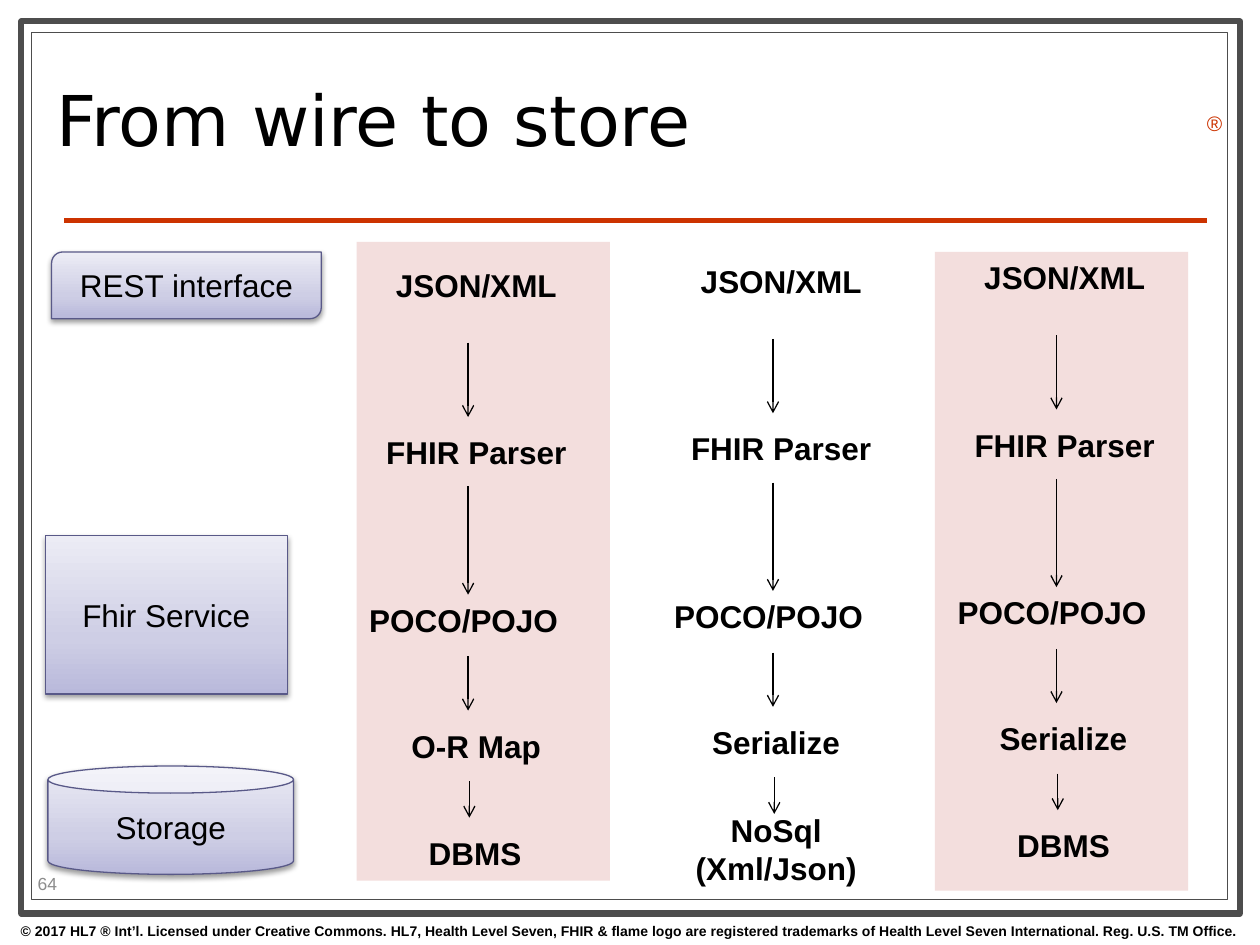
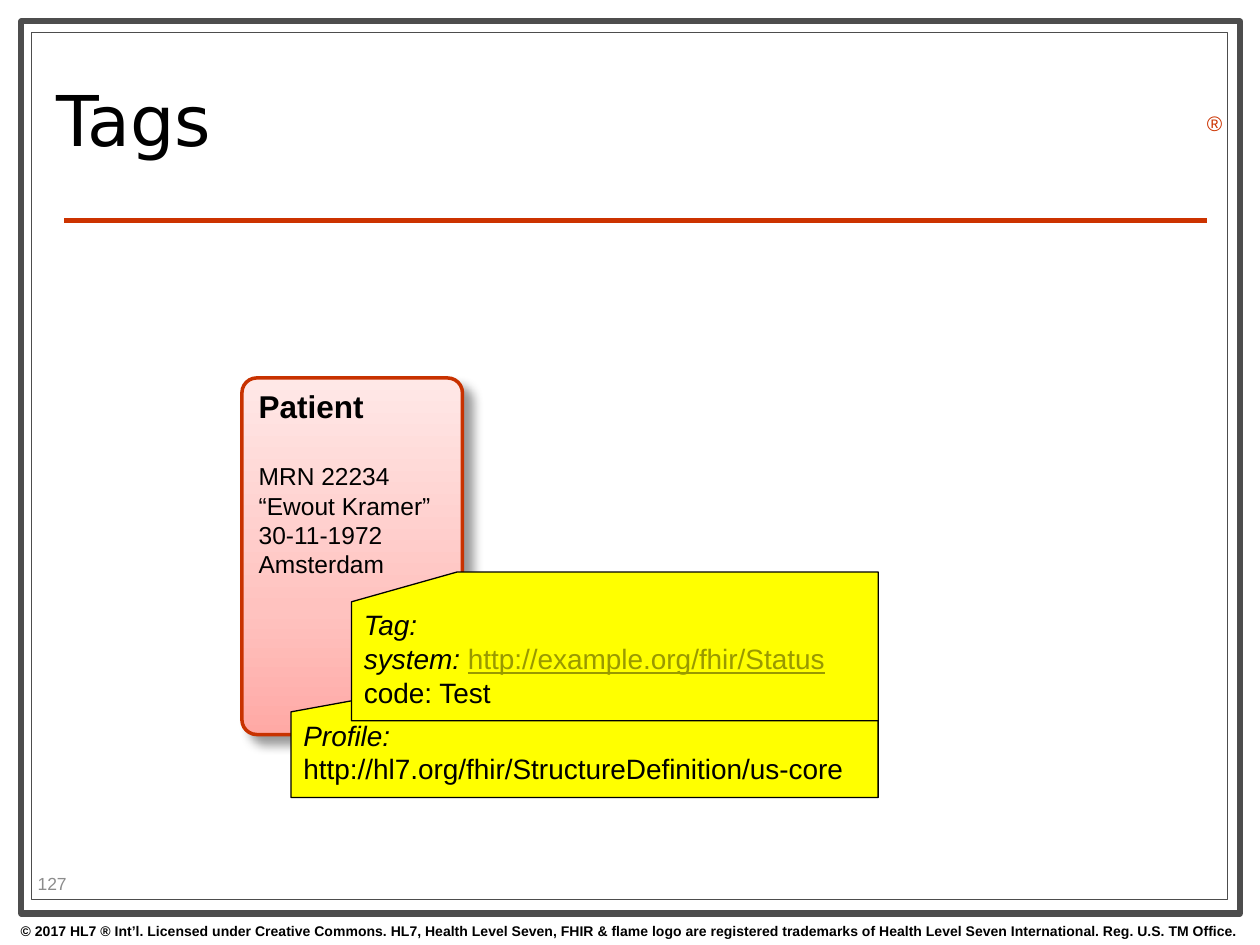
import copy
from dataclasses import dataclass

import pptx
import pptx.dml.color
import pptx.enum.shapes
import pptx.enum.text
import pptx.oxml.ns
import pptx.util
from lxml import etree

Shape = pptx.enum.shapes.MSO_SHAPE
Align = pptx.enum.text.PP_ALIGN
Anchor = pptx.enum.text.MSO_ANCHOR
Pt = pptx.util.Pt
qn = pptx.oxml.ns.qn


@dataclass(frozen=True)
class Theme:
    body_font: str = "Arial"
    title_font: str = "DejaVu Sans"
    ink: str = "000000"
    paper: str = "FFFFFF"
    frame: str = "4D4D4D"
    accent: str = "CC3300"
    muted: str = "8C8C8C"
    band: str = "F3DEDD"
    note: str = "FFFF00"
    link: str = "999900"
    layer_line: str = "595988"
    record_line: str = "C83200"
    layer_fill: tuple = ((0, "B9B9DB"), (0.35, "CECEE5"), (1, "ECECF5"))
    record_fill: tuple = ((0, "FFA9A5"), (0.35, "FFC2BF"), (1, "FFE8E7"))
    # Shadows: opacity %, blur pt, distance pt, angle
    layer_shadow: tuple = (38, 3.1, 1.6, 90)
    record_shadow: tuple = (40, 6, 7, 45)
    title_size: int = 40
    label_size: int = 18
    note_size: int = 16
    detail_size: int = 14
    mark_size: int = 12
    number_size: int = 10
    legal_size: int = 8


THEME = Theme()
COLUMNS, ROWS = 100, 75
LEGAL = ("© 2017 HL7 ® Int’l. Licensed under Creative Commons. HL7, Health Level Seven, "
         "FHIR & flame logo are registered trademarks of Health Level Seven International. "
         "Reg. U.S. TM Office.")


def rgb(colour):
    return pptx.dml.color.RGBColor.from_string(colour)


class Deck:
    """Holds the theme and the current slide; places are (column, row, width, height)."""

    def __init__(self, theme):
        self.theme = theme
        self.presentation = pptx.Presentation()
        self.presentation.slide_width = pptx.util.Inches(10)
        self.presentation.slide_height = pptx.util.Inches(7.5)
        self.shapes = None

    def grid(self, *lengths):
        units = (self.presentation.slide_width / COLUMNS, self.presentation.slide_height / ROWS)
        return [round(length * units[i % 2]) for i, length in enumerate(lengths)]

    def new_slide(self, title, number):
        theme = self.theme
        layout = self.presentation.slide_layouts[5]
        self.shapes = self.presentation.slides.add_slide(layout).shapes
        # Frame, rule and legal line
        self.box(Shape.RECTANGLE, (1.7, 1.7, 96.7, 70.8), theme.paper, theme.frame, 3.5)
        self.box(Shape.RECTANGLE, (2.5, 2.6, 94.9, 68.8), theme.paper, theme.frame, 0.75)
        self.line((5.1, 17.5), (95.8, 17.5), theme.accent, 3)
        self.text((0, 72.7, 100, 2.3), LEGAL, theme.legal_size, bold=True, align=Align.CENTER)
        self.text((94.8, 8.3, 3.1, 3), "®", theme.mark_size, colour=theme.accent)
        self.text((2, 68.9, 7.9, 2.4), number, theme.number_size,
                  colour=theme.muted, anchor=Anchor.MIDDLE)
        # Title, brought in front of the frame
        heading = self.shapes.title
        heading.left, heading.top, heading.width, heading.height = self.grid(3.5, 3.6, 71.7, 12.9)
        self.fill_text(heading, title, theme.title_size, font=theme.title_font,
                       anchor=Anchor.MIDDLE)
        heading.text_frame.auto_size = pptx.enum.text.MSO_AUTO_SIZE.NONE
        heading.text_frame.paragraphs[0].line_spacing = 0.8
        self.shapes._spTree.append(heading._element)

    def fill_text(self, shape, text, size, bold=False, colour=None, font=None,
                  align=Align.LEFT, anchor=Anchor.TOP):
        frame = shape.text_frame
        frame.text = text
        frame.word_wrap = True
        frame.vertical_anchor = anchor
        for paragraph in frame.paragraphs:
            paragraph.alignment = align
            for run in paragraph.runs:
                run.font.name = font or self.theme.body_font
                run.font.size = Pt(size)
                run.font.bold = bold
                run.font.color.rgb = rgb(colour or self.theme.ink)
        return frame

    def text(self, place, text, size, **style):
        return self.fill_text(self.shapes.add_textbox(*self.grid(*place)), text, size, **style)

    def box(self, kind, place, fill, line=None, weight=0.75, shadow=None):
        shape = self.shapes.add_shape(kind, *self.grid(*place))
        shape.shadow.inherit = False
        if isinstance(fill, str):
            shape.fill.solid()
            shape.fill.fore_color.rgb = rgb(fill)
        else:
            self.shade(shape, fill)
        if line:
            shape.line.color.rgb = rgb(line)
            shape.line.width = Pt(weight)
        else:
            shape.line.fill.background()
        if shadow:
            self.cast(shape, *shadow)
        return shape

    def shade(self, shape, stops):
        shape.fill.gradient()
        shape.fill.gradient_angle = 90
        stop_list = shape._element.spPr.find(".//" + qn("a:gsLst"))
        stop_list.append(copy.deepcopy(stop_list[0]))
        for stop, (position, colour) in zip(shape.fill.gradient_stops, stops):
            stop.position = position
            stop.color.rgb = rgb(colour)

    def cast(self, shape, opacity, blur, distance, angle):
        effects = shape._element.spPr.find(qn("a:effectLst"))
        outer = etree.SubElement(effects, qn("a:outerShdw"), blurRad=str(Pt(blur)),
                                 dist=str(Pt(distance)), dir=str(angle * 60000), rotWithShape="0")
        colour = etree.SubElement(outer, qn("a:srgbClr"), val=self.theme.ink)
        etree.SubElement(colour, qn("a:alpha"), val=str(opacity * 1000))

    def line(self, start, end, colour, weight=0.75, arrow=False):
        connector = self.shapes.add_connector(pptx.enum.shapes.MSO_CONNECTOR.STRAIGHT,
                                              *self.grid(*start, *end))
        connector.line.color.rgb = rgb(colour)
        connector.line.width = Pt(weight)
        if arrow:
            outline = connector._element.spPr.find(qn("a:ln"))
            etree.SubElement(outline, qn("a:tailEnd"), type="arrow")
        etree.SubElement(connector._element.spPr, qn("a:effectLst"))

    def layer(self, kind, place, label):
        theme = self.theme
        shape = self.box(kind, place, theme.layer_fill, theme.layer_line,
                         shadow=theme.layer_shadow)
        self.fill_text(shape, label, theme.label_size, align=Align.CENTER, anchor=Anchor.MIDDLE)

    def flow(self, left, top, steps):
        """Draw steps of (label, centre, width) downwards, with arrows between them."""
        for (label, centre, width), row in zip(steps, STEP_ROWS):
            extra = 3.1 * label.count("\n")
            place = (left + centre - width / 2, top + row - extra / 2, width, 4 + extra)
            self.text(place, label, self.theme.label_size, bold=True, align=Align.CENTER)
        for x, start, end in STEP_ARROWS:
            self.line((left + x, top + start), (left + x, top + end), self.theme.ink, arrow=True)

    def note(self, place, text):
        shape = self.box(Shape.FLOWCHART_CARD, place, self.theme.note, self.theme.ink)
        frame = self.fill_text(shape, text, self.theme.note_size)
        frame.paragraphs[0].runs[0].font.italic = True
        return frame


# Flow rhythm, measured from the top left of each flow
STEP_ROWS = (0, 13.3, 26.6, 36.6, 45.1)
STEP_ARROWS = ((8.85, 6.6, 12.5), (8.85, 18, 26.6), (8.85, 31.5, 35.8), (8.95, 41.4, 44.3))
PARSING = [("JSON/XML", 9.5, 14.9), ("FHIR Parser", 9.5, 16.5), ("POCO/POJO", 8.5, 18.3)]
FLOWS = [
    (28.3, 20.6, [("O-R Map", 9.5, 12.4), ("DBMS", 9.4, 9.5)]),
    (52.5, 20.3, [("Serialize", 9.1, 12.3), ("NoSql\n(Xml/Json)", 9.1, 14.9)]),
    (75, 20, [("Serialize", 9.4, 12.3), ("DBMS", 9.4, 9.5)]),
]


def wire_to_store(deck):
    deck.new_slide("From wire to store", "64")
    # Bands behind the outer flows
    for left, top in ((28.3, 19.2), (74.2, 20)):
        deck.box(Shape.RECTANGLE, (left, top, 20.1, 50.7), deck.theme.band)
    # System layers
    deck.layer(Shape.CAN, (3.8, 60.8, 19.5, 8.6), "Storage")
    deck.layer(Shape.RECTANGLE, (3.6, 42.5, 19.2, 12.6), "Fhir Service")
    deck.layer(Shape.ROUND_2_DIAG_RECTANGLE, (4.1, 20, 21.4, 5.3), "REST interface")
    # Three ways to store
    for left, top, storing in FLOWS:
        deck.flow(left, top, PARSING + storing)


def tags(deck):
    theme = deck.theme
    deck.new_slide("Tags", "127")
    # Patient record
    record = deck.box(Shape.ROUNDED_RECTANGLE, (19.2, 30, 17.5, 28.3), theme.record_fill,
                      theme.record_line, 2, theme.record_shadow)
    record.adjustments[0] = 0.067
    details = deck.fill_text(record, "Patient\nMRN 22234\n“Ewout Kramer”\n30-11-1972\nAmsterdam",
                             theme.detail_size)
    details.margin_top = Pt(2.5)
    name = details.paragraphs[0]
    name.runs[0].font.size = Pt(theme.label_size)
    name.runs[0].font.bold = True
    name.space_after = Pt(21)
    # Notes attached to the record
    deck.note((23.1, 54.8, 46.6, 8.5),
              "Profile:\nhttp://hl7.org/fhir/StructureDefinition/us-core")
    tag = deck.note((27.9, 45.4, 41.8, 11.8), "Tag:\nsystem: \ncode: Test")
    system = tag.paragraphs[1]
    system.runs[0].font.italic = True
    address = system.add_run()
    address.text = "http://example.org/fhir/Status"
    address.font.name = theme.body_font
    address.font.size = Pt(theme.note_size)
    address.font.color.rgb = rgb(theme.link)
    address.font.underline = True


def main():
    deck = Deck(THEME)
    wire_to_store(deck)
    tags(deck)
    deck.presentation.save("out.pptx")


if __name__ == "__main__":
    main()
